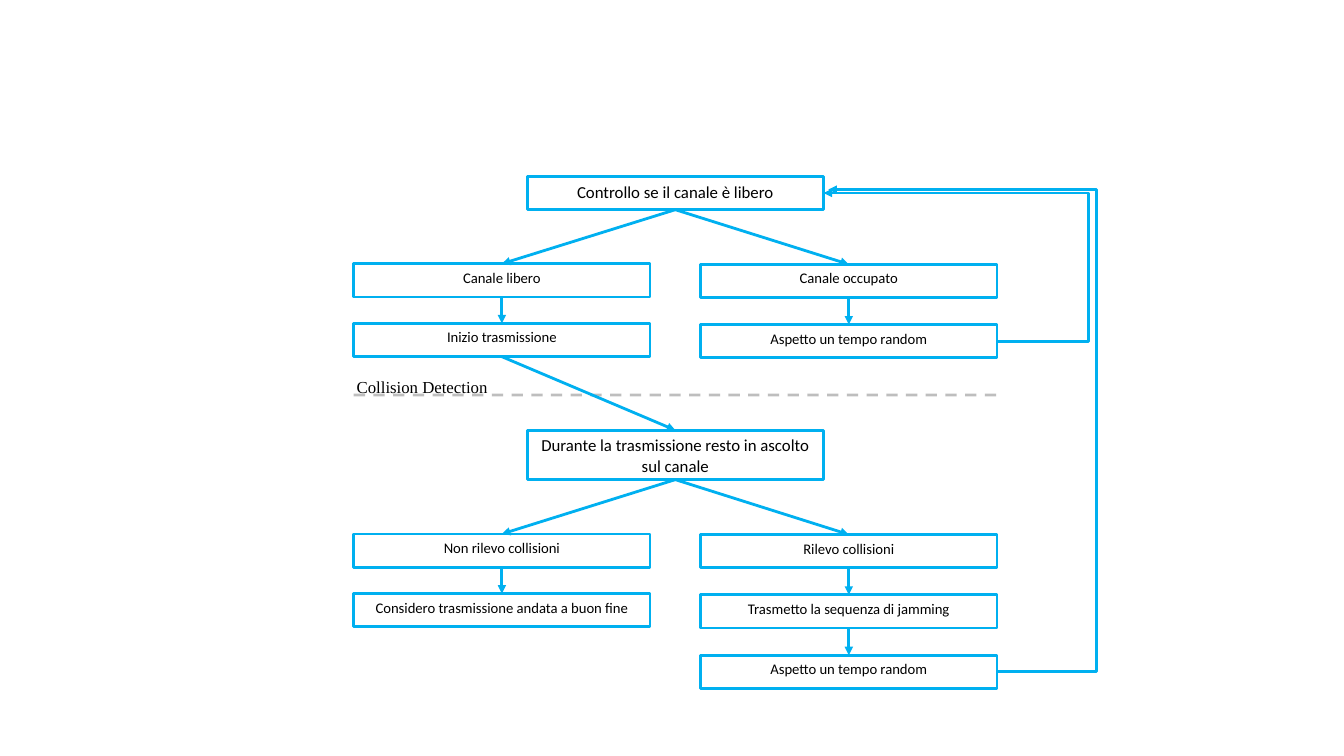
"""Builds the flowchart slide of channel access with collision detection."""
from lxml.etree import SubElement
from pptx import Presentation
from pptx.dml.color import RGBColor
from pptx.enum.dml import MSO_LINE_DASH_STYLE as DASH
from pptx.enum.shapes import MSO_CONNECTOR as CONN, MSO_SHAPE as SHAPE
from pptx.enum.text import MSO_ANCHOR as ANCHOR, PP_ALIGN as ALIGN
from pptx.oxml.ns import qn
from pptx.util import Pt

BLUE, GREY, BLACK = "00B0F0", "7F7F7F", "000000"
BOX_W, BOX_H, TALL_H = 211.7, 23.8, 35.3
LEFT, CENTRE, RIGHT = (358.5 + 123.9 * i for i in range(3))
BOXES = {
    "check": ("Controllo se il canale è libero", CENTRE, 126, BOX_H, 12),
    "free": ("Canale libero", LEFT, 188.4, BOX_H, 10.5),
    "busy": ("Canale occupato", RIGHT, 188.8, BOX_H, 10.5),
    "start": ("Inizio trasmissione", LEFT, 231, BOX_H, 10.5),
    "wait": ("Aspetto un tempo random", RIGHT, 231.8, BOX_H, 10.5),
    "listen": ("Durante la trasmissione resto in ascolto sul canale",
               CENTRE, 307.3, TALL_H, 12),
    "clear": ("Non rilevo collisioni", LEFT, 381.4, BOX_H, 10.5),
    "collision": ("Rilevo collisioni", RIGHT, 381.8, BOX_H, 10.5),
    "success": ("Considero trasmissione andata a buon fine",
                LEFT, 424, BOX_H, 10.5),
    "jam": ("Trasmetto la sequenza di jamming", RIGHT, 424.8, BOX_H, 10.5),
    "retry": ("Aspetto un tempo random", RIGHT, 468, BOX_H, 10.5),
}
ARROWS = [
    ("check", "free"), ("check", "busy"), ("free", "start"),
    ("busy", "wait"), ("start", "listen"), ("listen", "clear"),
    ("listen", "collision"), ("clear", "success"),
    ("collision", "jam"), ("jam", "retry"),
]


def set_all(obj, values):
    for name, value in values.items():
        setattr(obj, name, value)


def paint(color, value):
    color.rgb = RGBColor.from_string(value)


def write(sp, text, size, font, align):
    tf = sp.text_frame
    set_all(tf, {"word_wrap": True, "vertical_anchor": ANCHOR.TOP,
                 "margin_left": Pt(7.2), "margin_right": Pt(7.2),
                 "margin_top": Pt(3.6), "margin_bottom": Pt(3.6)})
    p = tf.paragraphs[0]
    p.alignment = align
    r = p.add_run()
    r.text = text
    set_all(r.font, {"size": Pt(size), "name": font})
    paint(r.font.color, BLACK)


def add_box(slide, text, centre, top, height, size):
    sp = slide.shapes.add_shape(SHAPE.RECTANGLE, Pt(centre - BOX_W / 2),
                                Pt(top), Pt(BOX_W), Pt(height))
    sp.shadow.inherit = False
    sp.fill.background()
    paint(sp.line.color, BLUE)
    sp.line.width = Pt(2)
    write(sp, text, size, "Calibri", ALIGN.CENTER)
    return sp


def add_line(slide, kind, start, end, color=BLUE, arrow=True):
    line = slide.shapes.add_connector(kind, *map(Pt, start + end))
    paint(line.line.color, color)
    line.line.width = Pt(2)
    if arrow:
        SubElement(line.line._get_or_add_ln(), qn("a:tailEnd"),
                   type="triangle")
    SubElement(line._element.spPr, qn("a:effectLst"))
    return line


def add_arrow(slide, source, target):
    line = add_line(slide, CONN.STRAIGHT, (0, 0), (0, 0))
    line.begin_connect(source, 2)
    line.end_connect(target, 0)


def add_loop(slide, start, end, lane):
    line = add_line(slide, CONN.ELBOW, start, end)
    bend = round((start[0] - lane) / (start[0] - end[0]) * 100000)
    guides = line._element.spPr.find(qn("a:prstGeom")).get_or_add_avLst()
    SubElement(guides, qn("a:gd"), name="adj1", fmla=f"val {bend}")


def add_divider(slide):
    line = add_line(slide, CONN.STRAIGHT, (252.7, 282.2), (712.8, 282.2),
                    GREY, arrow=False)
    line.line.dash_style = DASH.DASH
    color = line._element.spPr.find(".//" + qn("a:srgbClr"))
    SubElement(color, qn("a:alpha"), val="50000")
    sp = slide.shapes.add_textbox(Pt(247.7), Pt(265.7), Pt(110.9), Pt(21.6))
    write(sp, "Collision Detection", 12, "Times New Roman", ALIGN.JUSTIFY)


def main():
    prs = Presentation()
    set_all(prs, {"slide_width": Pt(960), "slide_height": Pt(540)})
    slide = prs.slides.add_slide(prs.slide_layouts[6])
    add_divider(slide)
    boxes = {key: add_box(slide, *box) for key, box in BOXES.items()}
    for source, target in ARROWS:
        add_arrow(slide, boxes[source], boxes[target])
    edge = RIGHT + BOX_W / 2
    add_loop(slide, (edge, 243.7), (588.3, 137.9), 777.6)
    add_loop(slide, (edge, 479.9), (591.8, 135.4), 783.4)
    prs.save("out.pptx")


if __name__ == "__main__":
    main()
